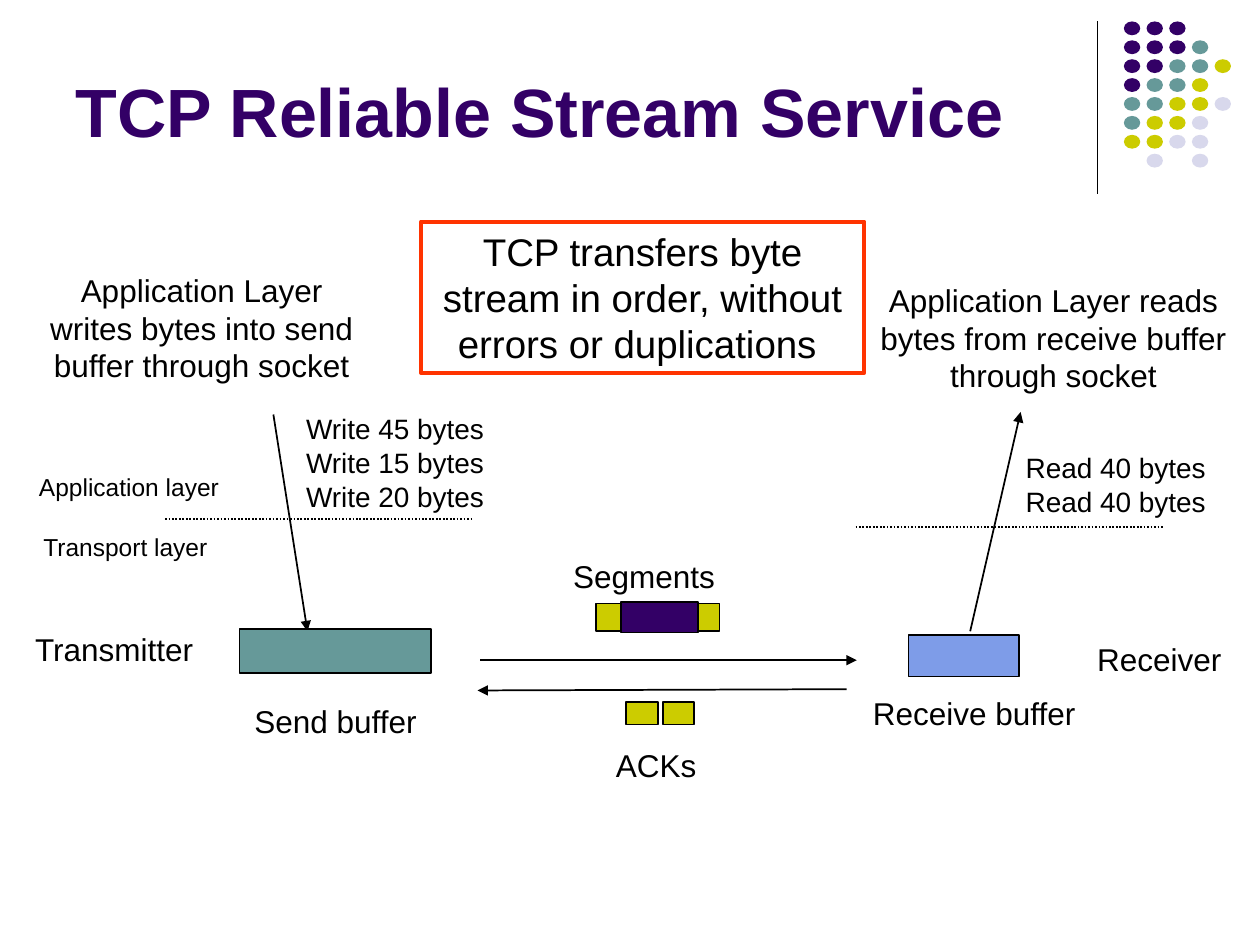
import pptx
import pptx.dml.color
import pptx.enum.dml
import pptx.enum.shapes
import pptx.enum.text
import pptx.oxml
import pptx.oxml.ns
import pptx.util

Inches = pptx.util.Inches
RGBColor = pptx.dml.color.RGBColor
Align = pptx.enum.text.PP_ALIGN
Shape = pptx.enum.shapes.MSO_SHAPE

BLACK = RGBColor(0x00, 0x00, 0x00)
PURPLE = RGBColor(0x33, 0x00, 0x66)
TEAL = RGBColor(0x66, 0x99, 0x99)
OLIVE = RGBColor(0xCC, 0xCC, 0x00)
LAVENDER = RGBColor(0xD8, 0xD8, 0xEC)
BLUE = RGBColor(0x7E, 0x9C, 0xE8)
RED = RGBColor(0xFF, 0x33, 0x00)

DOT_COLORS = {"P": PURPLE, "T": TEAL, "O": OLIVE, "L": LAVENDER}
DOT_ROWS = ["PPP", "PPPT", "PPTTO", "PTTO", "TTOOL", "TOOL", "OOLL", " L L"]


def write_text(frame, text, size=18, color=BLACK, bold=False, align=Align.LEFT):
    frame.text = text
    for para in frame.paragraphs:
        para.alignment = align
        para.font.name = "Arial"
        para.font.size = pptx.util.Pt(size)
        para.font.bold = bold
        para.font.color.rgb = color


def place(origin, area):
    """Turn an area relative to a region's origin into slide lengths."""
    left, top, width, height = area
    return [Inches(value) for value in (origin[0] + left, origin[1] + top, width, height)]


def add_label(page, origin, area, text, wrap=False, **text_format):
    box = page.shapes.add_textbox(*place(origin, area))
    box.text_frame.word_wrap = wrap
    box.text_frame.auto_size = pptx.enum.text.MSO_AUTO_SIZE.SHAPE_TO_FIT_TEXT
    write_text(box.text_frame, text, **text_format)


def add_block(page, origin, area, fill=None, line=BLACK, weight=1, kind=Shape.RECTANGLE):
    block = page.shapes.add_shape(kind, *place(origin, area))
    block.shadow.inherit = False
    if fill is None:
        block.fill.background()
    else:
        block.fill.solid()
        block.fill.fore_color.rgb = fill
    if line is None:
        block.line.fill.background()
    else:
        block.line.color.rgb = line
        block.line.width = pptx.util.Pt(weight)
    return block


def add_line(page, origin, start, end, weight=1, arrow=False, dotted=False):
    points = [Inches(base + offset) for point in (start, end)
              for base, offset in zip(origin, point)]
    line = page.shapes.add_connector(pptx.enum.shapes.MSO_CONNECTOR.STRAIGHT, *points)
    line.line.color.rgb = BLACK
    line.line.width = pptx.util.Pt(weight)
    if dotted:
        line.line.dash_style = pptx.enum.dml.MSO_LINE.ROUND_DOT
    if arrow:
        tip = pptx.oxml.parse_xml(
            f'<a:tailEnd {pptx.oxml.ns.nsdecls("a")} type="triangle"/>')
        line.line._get_or_add_ln().append(tip)
    effects = pptx.oxml.parse_xml(f'<a:effectLst {pptx.oxml.ns.nsdecls("a")}/>')
    line._element.spPr.append(effects)


def add_title(page, area, text):
    title = page.shapes.title
    title.left, title.top, title.width, title.height = place((0, 0), area)
    frame = title.text_frame
    frame.word_wrap = True
    frame.auto_size = pptx.enum.text.MSO_AUTO_SIZE.NONE
    frame.vertical_anchor = pptx.enum.text.MSO_ANCHOR.BOTTOM
    write_text(frame, text, size=39, color=PURPLE, bold=True)


def add_corner_dots(page, origin):
    add_line(page, origin, (0, 0), (0, 1.37), weight=0.75)
    for row, codes in enumerate(DOT_ROWS):
        for column, code in enumerate(codes):
            if code in DOT_COLORS:
                area = (0.21 + 0.18 * column, 0.15 * row, 0.13, 0.11)
                add_block(page, origin, area, DOT_COLORS[code], line=None, kind=Shape.OVAL)


def add_sender(page, origin):
    add_label(page, origin, (0.03, 0, 2.78, 1),
              "Application Layer writes bytes into send buffer through socket",
              wrap=True, align=Align.CENTER)
    add_line(page, origin, (1.99, 1.19), (2.26, 2.91), arrow=True)
    add_label(page, origin, (2.15, 1.12, 1.61, 0.9),
              "Write 45 bytes\nWrite 15 bytes\nWrite 20 bytes", size=16, align=Align.CENTER)
    add_line(page, origin, (1.13, 2.02), (3.57, 2.02), dotted=True)
    add_label(page, origin, (0.03, 1.6, 1.63, 0.34), "Application layer",
              size=14, align=Align.CENTER)
    add_label(page, origin, (0.06, 2.07, 1.51, 0.34), "Transport layer",
              size=14, align=Align.CENTER)
    add_block(page, origin, (1.72, 2.89, 1.52, 0.35), TEAL)
    add_label(page, origin, (0, 2.85, 1.48, 0.4), "Transmitter")
    add_label(page, origin, (1.74, 3.42, 1.51, 0.4), "Send buffer")


def add_receiver(page, origin):
    add_label(page, origin, (0.07, 0.08, 2.98, 1),
              "Application Layer reads bytes from receive buffer through socket",
              wrap=True, align=Align.CENTER)
    add_line(page, origin, (0.9, 2.91), (1.3, 1.17), arrow=True)
    add_label(page, origin, (1.24, 1.43, 1.63, 0.63),
              "Read 40 bytes\nRead 40 bytes", size=16, align=Align.CENTER)
    add_line(page, origin, (-0.01, 2.08), (2.43, 2.08), dotted=True)
    add_block(page, origin, (0.41, 2.94, 0.88, 0.33), BLUE)
    add_label(page, origin, (1.81, 2.93, 1.21, 0.4), "Receiver")
    add_label(page, origin, (0.03, 3.36, 1.83, 0.4), "Receive buffer")


def add_exchange(page, origin):
    """Segments travel right, acknowledgements travel back left."""
    add_label(page, origin, (0.65, 0.02, 1.4, 0.4), "Segments")
    add_block(page, origin, (0.93, 0.44, 0.98, 0.22), OLIVE)
    add_block(page, origin, (1.13, 0.43, 0.61, 0.24), PURPLE)
    add_line(page, origin, (0.01, 0.89), (3, 0.89), arrow=True)
    add_line(page, origin, (2.92, 1.12), (-0.01, 1.13), arrow=True)
    for left in (1.17, 1.46):
        add_block(page, origin, (left, 1.22, 0.25, 0.18), OLIVE)
    add_label(page, origin, (0.99, 1.52, 0.86, 0.4), "ACKs")


def add_callout(page, area, text):
    callout = add_block(page, (0, 0), area, line=RED, weight=2.25)
    callout.text_frame.word_wrap = True
    callout.text_frame.vertical_anchor = pptx.enum.text.MSO_ANCHOR.TOP
    write_text(callout.text_frame, text, size=22, align=Align.CENTER)


def main():
    deck = pptx.Presentation()
    deck.slide_width, deck.slide_height = Inches(10), Inches(7.5)
    page = deck.slides.add_slide(deck.slide_layouts.get_by_name("Title Only"))
    add_corner_dots(page, (8.71, 0.17))
    add_title(page, (0.5, 0.13, 8.25, 1.12), "TCP Reliable Stream Service")
    add_sender(page, (0.18, 2.1))
    add_receiver(page, (6.8, 2.1))
    add_exchange(page, (3.8, 4.35))
    add_callout(page, (3.34, 1.76, 3.52, 1.2),
                "TCP transfers byte stream in order, without errors or duplications ")
    deck.save("out.pptx")


if __name__ == "__main__":
    main()
